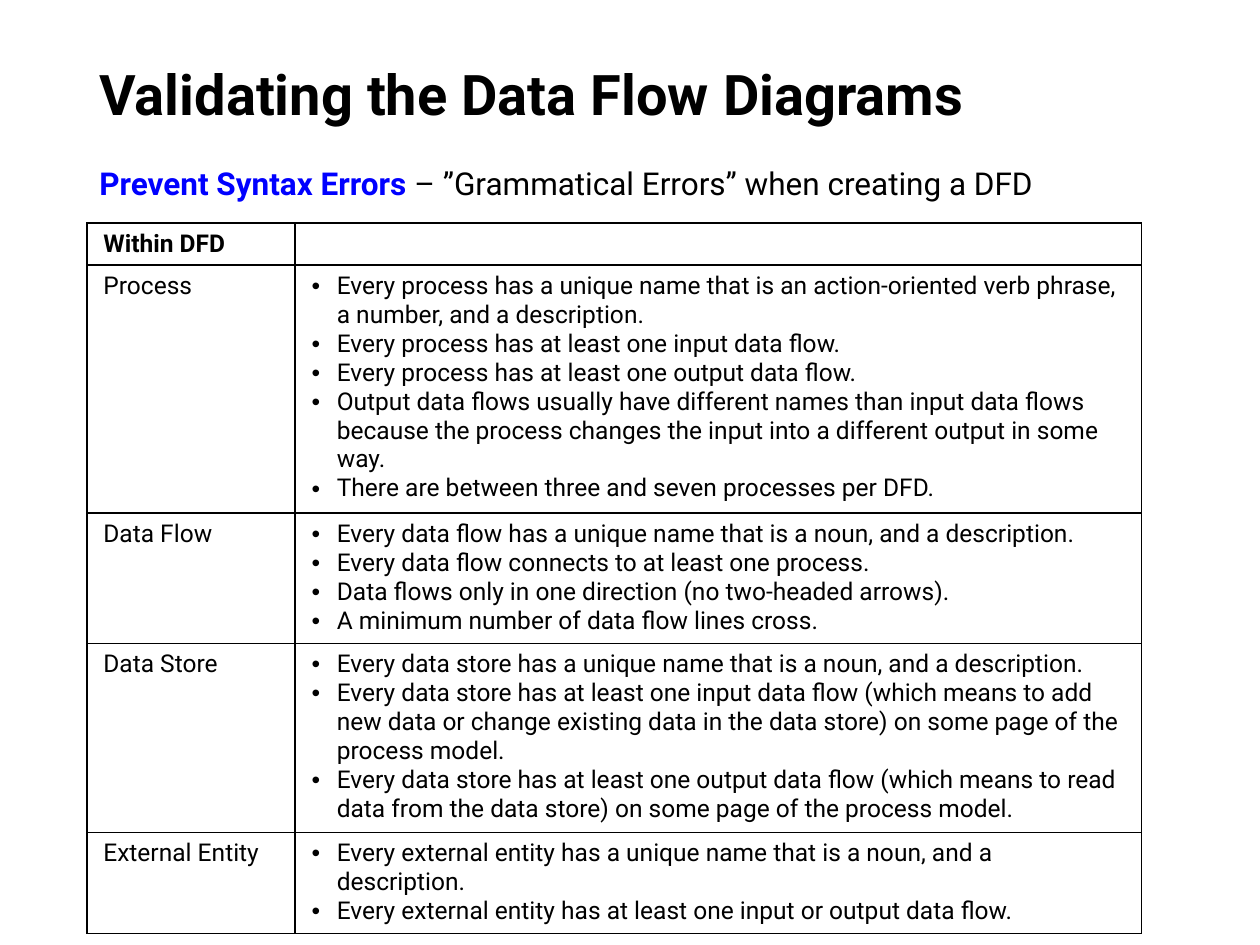
from lxml.etree import SubElement
from pptx import Presentation
from pptx.dml.color import RGBColor
from pptx.enum.text import MSO_ANCHOR
from pptx.oxml.ns import qn
from pptx.util import Pt

FONT = "Roboto"
BODY_SIZE = 14
BLACK, BLUE = "000000", "0000FF"
INDENT = 14.4
COLUMN_WIDTHS = [119, 483.6]
ROW_HEIGHTS = [23.6, 139.6, 73.4, 106.5, 56.6]
RULES = [
    ("Within DFD", []),
    ("Process", [
        "Every process has a unique name that is an action-oriented verb phrase, "
        "a number, and a description.",
        "Every process has at least one input data flow.",
        "Every process has at least one output data flow.",
        "Output data flows usually have different names than input data flows "
        "because the process changes the input into a different output in some way.",
        "There are between three and seven processes per DFD.",
    ]),
    ("Data Flow", [
        "Every data flow has a unique name that is a noun, and a description.",
        "Every data flow connects to at least one process.",
        "Data flows only in one direction (no two-headed arrows).",
        "A minimum number of data flow lines cross.",
    ]),
    ("Data Store", [
        "Every data store has a unique name that is a noun, and a description.",
        "Every data store has at least one input data flow (which means to add new "
        "data or change existing data in the data store) on some page of the "
        "process model.",
        "Every data store has at least one output data flow (which means to read "
        "data from the data store) on some page of the process model.",
    ]),
    ("External Entity", [
        "Every external entity has a unique name that is a noun, and a description.",
        "Every external entity has at least one input or output data flow.",
    ]),
]


def rgb(value):
    return RGBColor.from_string(value)


def set_attrs(obj, values):
    for name, value in values.items():
        setattr(obj, name, value)


def add_run(p, text, size, bold=False, color=BLACK):
    r = p.add_run()
    r.text = text
    set_attrs(r.font, {"name": FONT, "size": Pt(size), "bold": bold})
    r.font.color.rgb = rgb(color)


def add_text(s, box, runs, size, anchor, line_spacing=1.0):
    sp = s.shapes.add_textbox(*map(Pt, box))
    tf = sp.text_frame
    set_attrs(tf, {"word_wrap": True, "vertical_anchor": anchor})
    p = tf.paragraphs[0]
    p.line_spacing = line_spacing
    for text, bold, color in runs:
        add_run(p, text, size, bold, color)


def add_bullet(p):
    pPr = p._p.get_or_add_pPr()
    pPr.set("marL", str(Pt(INDENT)))
    pPr.set("indent", str(-Pt(INDENT)))
    SubElement(pPr, qn("a:buFont"), typeface="Arial")
    SubElement(pPr, qn("a:buChar"), char="•")


def add_borders(cell):
    tcPr = cell._tc.get_or_add_tcPr()
    for side in ("a:lnL", "a:lnR", "a:lnT", "a:lnB"):
        ln = SubElement(tcPr, qn(side), w=str(Pt(1)))
        fill = SubElement(ln, qn("a:solidFill"))
        SubElement(fill, qn("a:srgbClr"), val=BLACK)


def fill_cell(cell, lines, bold=False, bulleted=False):
    set_attrs(cell, {
        "margin_left": Pt(9.4), "margin_right": Pt(9.4),
        "margin_top": Pt(3.6), "margin_bottom": Pt(3.6),
        "vertical_anchor": MSO_ANCHOR.TOP,
    })
    add_borders(cell)
    cell.fill.background()
    tf = cell.text_frame
    for i, text in enumerate(lines):
        p = tf.add_paragraph() if i else tf.paragraphs[0]
        if bulleted:
            add_bullet(p)
        add_run(p, text, BODY_SIZE, bold)
    if not lines:
        SubElement(tf.paragraphs[0]._p, qn("a:endParaRPr"), sz=str(BODY_SIZE * 100))


def add_rules_table(s, left, top):
    frame = s.shapes.add_table(
        len(RULES), len(COLUMN_WIDTHS), Pt(left), Pt(top),
        Pt(sum(COLUMN_WIDTHS)), Pt(sum(ROW_HEIGHTS)))
    table = frame.table
    set_attrs(table, {"first_row": False, "horz_banding": False})
    for column, width in zip(table.columns, COLUMN_WIDTHS):
        column.width = Pt(width)
    for i, (heading, rules) in enumerate(RULES):
        table.rows[i].height = Pt(ROW_HEIGHTS[i])
        fill_cell(table.cell(i, 0), [heading], bold=i == 0)
        fill_cell(table.cell(i, 1), rules, bulleted=True)


def main():
    prs = Presentation()
    set_attrs(prs, {"slide_width": Pt(720), "slide_height": Pt(540)})
    s = prs.slides.add_slide(prs.slide_layouts[6])
    add_text(s, (49.7, 28.8, 620.6, 53.3),
             [("Validating the Data Flow Diagrams", True, BLACK)],
             32, MSO_ANCHOR.MIDDLE, 0.9)
    add_rules_table(s, 49.7, 127.4)
    add_text(s, (49.7, 90, 602.6, 28.8),
             [("Prevent Syntax Errors ", True, BLUE),
              ("– ”Grammatical Errors” when creating a DFD", False, BLACK)],
             18, MSO_ANCHOR.TOP)
    prs.save("out.pptx")


if __name__ == "__main__":
    main()
